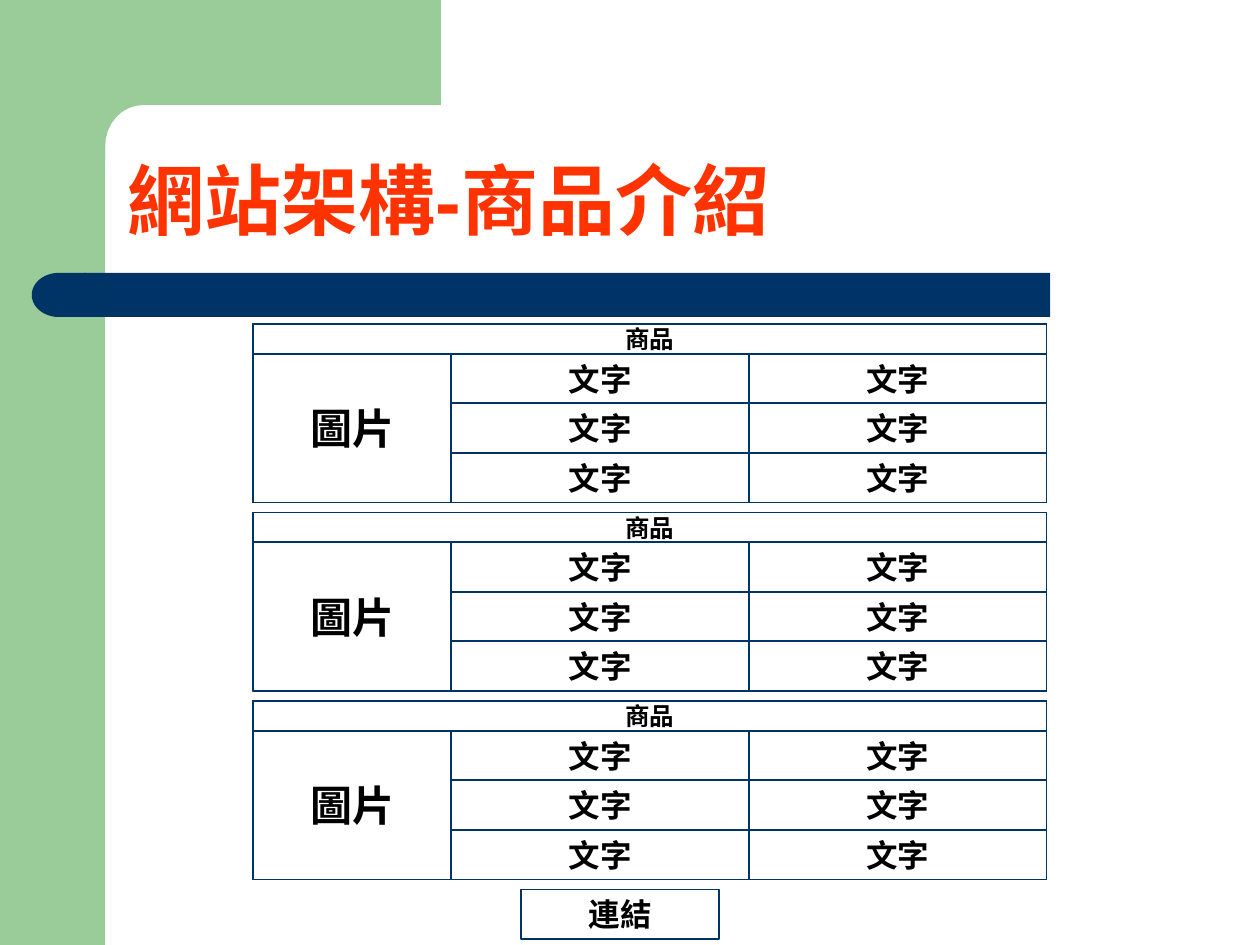
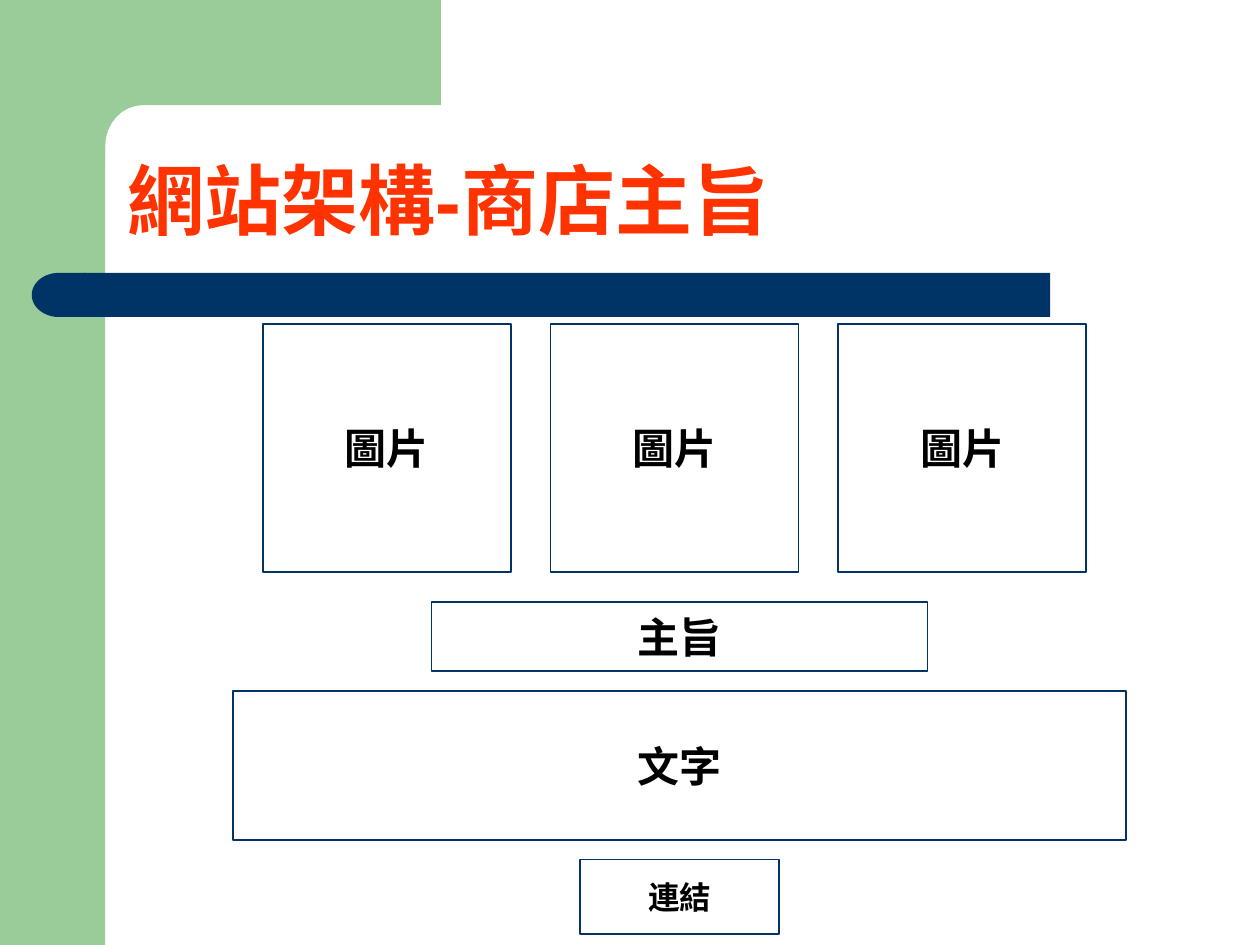
"""Build two website wireframe slides: product introduction and shop purpose."""
from math import cos, pi, sin

from pptx import Presentation
from pptx.dml.color import RGBColor
from pptx.enum.shapes import MSO_SHAPE as SHAPE
from pptx.enum.text import MSO_ANCHOR as ANCHOR, MSO_AUTO_SIZE as AUTO, PP_ALIGN as ALIGN
from pptx.util import Cm, Pt

GREEN = RGBColor(0x99, 0xCC, 0x99)
NAVY = RGBColor(0x00, 0x33, 0x66)
RED = RGBColor(0xFF, 0x33, 0x00)
BLACK = RGBColor(0, 0, 0)
WHITE = RGBColor(255, 255, 255)
FONT = "Arial"


def style_text(tf, text, size, color, align, anchor):
    tf.text = text
    tf.vertical_anchor = anchor
    p = tf.paragraphs[0]
    p.alignment = align
    font = p.runs[0].font
    font.name, font.size, font.bold = FONT, Pt(size), True
    font.color.rgb = color


def add_box(s, left, top, width, height, text="", size=18):
    sp = s.shapes.add_shape(SHAPE.RECTANGLE, Cm(left), Cm(top), Cm(width), Cm(height))
    sp.shadow.inherit = False
    sp.line.color.rgb = NAVY
    sp.line.width = Pt(1)
    if not text:
        sp.fill.background()
        return
    sp.fill.solid()
    sp.fill.fore_color.rgb = WHITE
    sp.text_frame.word_wrap = False
    style_text(sp.text_frame, text, size, BLACK, ALIGN.CENTER, ANCHOR.MIDDLE)


prs = Presentation()
prs.slide_width, prs.slide_height = Cm(25.4), Cm(19.05)

slides = []
for title in ("網站架構-商品介紹", "網站架構-商店主旨"):
    s = prs.slides.add_slide(prs.slide_layouts[5])
    sp = s.shapes.title
    sp.left, sp.top, sp.width, sp.height = Cm(2.31), Cm(2.31), Cm(21.62), Cm(2.77)
    tf = sp.text_frame
    tf.auto_size = AUTO.NONE
    style_text(tf, title, 44, RED, ALIGN.LEFT, ANCHOR.BOTTOM)
    tf.paragraphs[0].line_spacing = 0.9
    slides.append(s)
products, purpose = slides

bands = products.shapes.add_group_shape()
side = bands.shapes.add_shape(SHAPE.RECTANGLE, 0, 0, Cm(2.12), Cm(19.05))
arc = [(2.88 - 0.76 * cos(i * pi / 16), 2.95 - 0.83 * sin(i * pi / 16)) for i in range(9)]
outline = [(8.89, 0), (8.89, 2.12), *reversed(arc), (2.12, 3.25), (1.27, 3.25), (1.27, 0)]
points = [(Cm(x), Cm(y)) for x, y in outline]
builder = bands.shapes.build_freeform(*points[0])
builder.add_line_segments(points[1:], close=True)
corner = builder.convert_to_shape()
bar = bands.shapes.add_shape(SHAPE.RECTANGLE, Cm(1.7), Cm(5.5), Cm(19.47), Cm(0.89))
cap = bands.shapes.add_shape(SHAPE.FLOWCHART_DELAY, Cm(0.64), Cm(5.5), Cm(1.09), Cm(0.89))
cap.rotation = 180
for sp, color in ((side, GREEN), (corner, GREEN), (bar, NAVY), (cap, NAVY)):
    sp.shadow.inherit = False
    sp.fill.solid()
    sp.fill.fore_color.rgb = color
    sp.line.fill.background()
prs.slide_master.shapes.element.insert(2, bands.element)

for card in range(3):
    top = 6.53 + card * 3.8
    add_box(products, 5.1, top, 16, 3.6)
    add_box(products, 5.1, top, 16, 0.6, "商品", 14)
    add_box(products, 5.1, top + 0.6, 4, 3, "圖片", 24)
    for col in range(2):
        for row in range(3):
            add_box(products, 9.1 + col * 6, top + 0.6 + row, 6, 1, "文字")
add_box(products, 10.5, 17.93, 4, 1, "連結")

for col in range(3):
    add_box(purpose, 5.3 + col * 5.8, 6.53, 5, 5, "圖片", 24)
add_box(purpose, 8.7, 12.13, 10, 1.4, "主旨", 24)
add_box(purpose, 4.7, 13.93, 18, 3, "文字", 24)
add_box(purpose, 11.7, 17.33, 4, 1.5, "連結")

prs.save("out.pptx")
